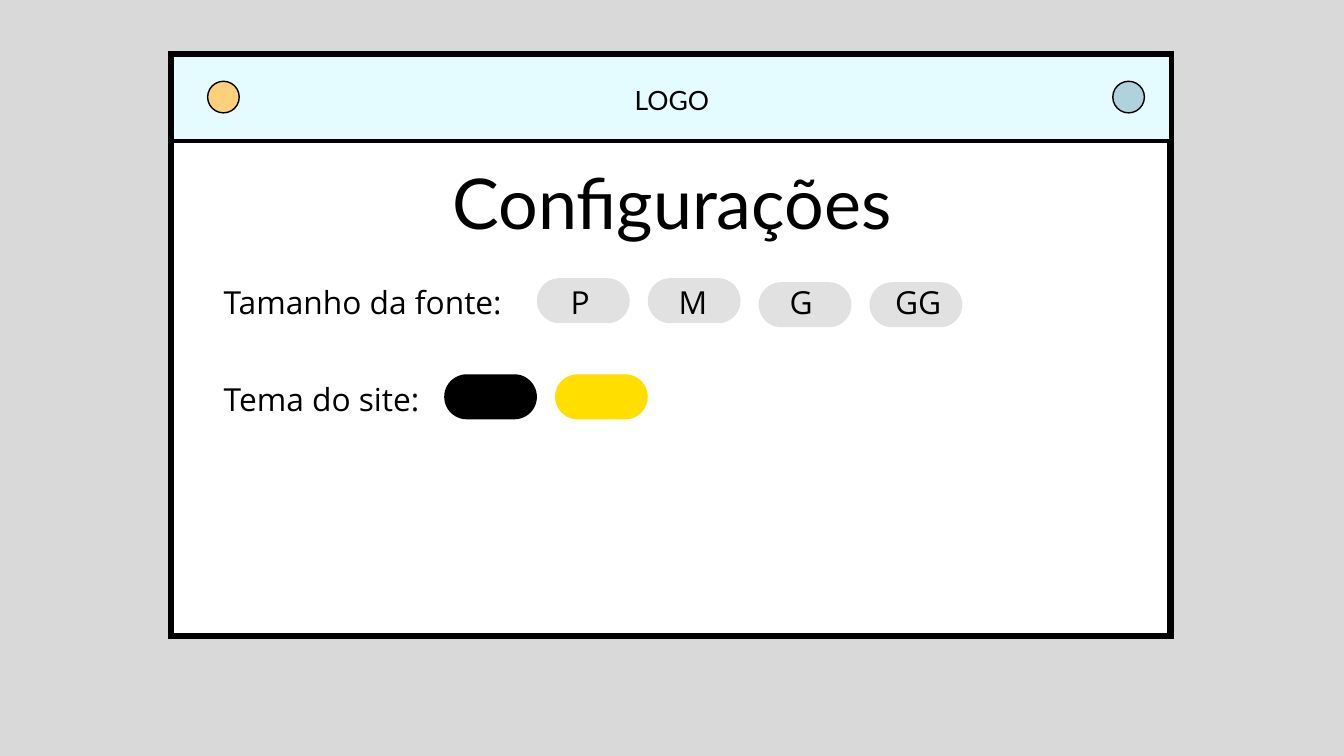
from lxml.etree import SubElement
from pptx import Presentation
from pptx.dml.color import RGBColor
from pptx.enum.shapes import MSO_SHAPE as Shape
from pptx.enum.text import MSO_ANCHOR as Anchor, MSO_AUTO_SIZE as AutoSize, PP_ALIGN as Align
from pptx.oxml.ns import qn
from pptx.util import Inches, Pt

BLACK, GREY = "000000", "E1E1E1"
PILL_STEP = 1.65


def color(value):
    return RGBColor.from_string(value)


class Wireframe:
    heading_font = "Lato"
    label_font = "Open Sans"
    label_size = 34
    leading = 1.4

    def __init__(self, page):
        self.page = page

    def background(self, value):
        fill = self.page.background.fill
        fill.solid()
        fill.fore_color.rgb = color(value)

    def shape(self, kind, place, fill, line_width=0):
        shape = self.page.shapes.add_shape(kind, *map(Inches, place))
        shape.shadow.inherit = False
        shape.fill.solid()
        shape.fill.fore_color.rgb = color(fill)
        if line_width:
            shape.line.color.rgb = color(BLACK)
            shape.line.width = Pt(line_width)
            outline = shape._element.spPr.find(qn("a:ln"))
            SubElement(outline, qn("a:miter"), lim="800000")
        else:
            shape.line.fill.background()
        return shape

    def pill(self, left, top, fill):
        pill = self.shape(Shape.ROUNDED_RECTANGLE, (left, top, 1.38, 0.67), fill)
        pill.adjustments[0] = 0.5

    def set_text(self, box, text, font, size, align=Align.LEFT, tabs=()):
        frame = box.text_frame
        settings = {"margin_left": 0, "margin_top": 0, "margin_right": 0,
                    "margin_bottom": 0, "word_wrap": True,
                    "vertical_anchor": Anchor.TOP, "auto_size": AutoSize.NONE}
        for name, value in settings.items():
            setattr(frame, name, value)
        para = frame.paragraphs[0]
        para.text = text
        para.alignment = align
        para.line_spacing = Pt(round(size * self.leading, 1))
        if tabs:
            tab_list = SubElement(para._p.get_or_add_pPr(), qn("a:tabLst"))
            for position in tabs:
                SubElement(tab_list, qn("a:tab"), pos=str(Inches(position)), algn="l")
        span = para.runs[0]
        for name, value in {"name": font, "size": Pt(size)}.items():
            setattr(span.font, name, value)
        span.font.color.rgb = color(BLACK)

    def text(self, place, text, font=label_font, size=label_size, **options):
        box = self.page.shapes.add_textbox(*map(Inches, place))
        self.set_text(box, text, font, size, **options)

    def title(self, place, text, size):
        """Fill the title placeholder and bring it in front of the panels."""
        title = self.page.shapes.title
        for name, value in zip(("left", "top", "width", "height"), place):
            setattr(title, name, Inches(value))
        self.set_text(title, text, self.heading_font, size, align=Align.CENTER)
        self.page.shapes._spTree.append(title._element)


def main():
    deck = Presentation()
    deck.slide_width, deck.slide_height = Inches(20), Inches(11.25)
    page = deck.slides.add_slide(deck.slide_layouts[5])
    screen = Wireframe(page)
    screen.background("D9D9D9")

    # Window, header bar and header buttons
    screen.shape(Shape.RECTANGLE, (2.55, 0.81, 14.87, 8.66), "FFFFFF", 6.75)
    screen.shape(Shape.RECTANGLE, (2.56, 0.81, 14.87, 1.29), "E4FBFF", 4.5)
    for left, fill in ((3.09, "FFD07B"), (16.56, "B0D2DD")):
        screen.shape(Shape.OVAL, (left, 1.21, 0.47, 0.47), fill, 1.5)
    screen.text((9.38, 1.17, 1.24, 0.52), "LOGO", Wireframe.heading_font, 28.4,
                align=Align.CENTER)
    screen.title((3.77, 2.16, 12.46, 1.4), "Configurações", 75)

    # Setting rows
    for top, label in ((4.12, "Tamanho da fonte:"), (5.55, "Tema do site:")):
        screen.text((3.33, top, 4.2, 0.63), label)
    for column, top in enumerate((4.14, 4.14, 4.2, 4.2)):
        screen.pill(7.99 + column * PILL_STEP, top, GREY)
    for column, fill in enumerate((BLACK, "FFDE00")):
        screen.pill(6.61 + column * PILL_STEP, 5.57, fill)
    screen.text((8.49, 4.12, 6.28, 0.63), "P\tM\tG\tGG", tabs=(1.61, 3.26, 4.83))

    deck.save("out.pptx")


if __name__ == "__main__":
    main()
